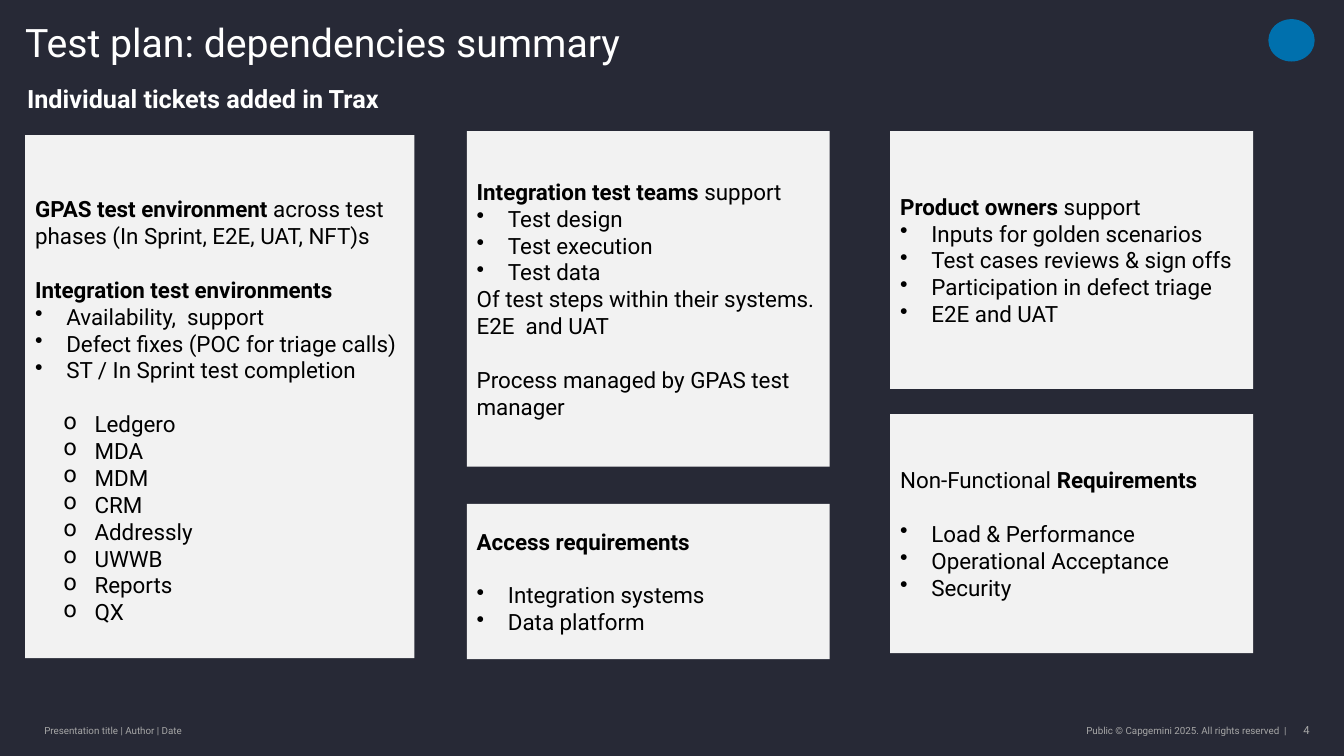
from dataclasses import dataclass

from lxml import etree
from pptx import Presentation
from pptx.dml.color import RGBColor
from pptx.enum import shapes, text
from pptx.oxml import ns
from pptx.util import Inches, Pt


@dataclass(frozen=True)
class Theme:
    font: str = "Roboto"
    back: str = "272936"
    card: str = "F2F2F2"
    ink: str = "000000"
    light: str = "FFFFFF"
    muted: str = "A6A6A6"
    accent: str = "0070AD"
    title: int = 28
    head: int = 18
    body: int = 16
    foot: int = 7
    page: int = 8
    line: float = 19.2


THEME = Theme()
MARKS = ("", "•", "o")
INDENT = (0, 0.31, 0.59)
HANG = 0.31
LEFT, MID, RIGHT = 0.25, 4.63, 8.83
WIDE, SLIM = 3.86, 3.6

# Each line is (text with **bold** parts, bullet level, gap above in lines).
ENVIRON = [
    ("**GPAS test environment** across test phases (In Sprint, E2E, UAT, NFT)s", 0, 0),
    ("**Integration test environments**", 0, 1),
    ("Availability,  support", 1, 0),
    ("Defect fixes (POC for triage calls)", 1, 0),
    ("ST / In Sprint test completion", 1, 0),
    ("Ledgero", 2, 1),
    ("MDA", 2, 0),
    ("MDM", 2, 0),
    ("CRM", 2, 0),
    ("Addressly", 2, 0),
    ("UWWB", 2, 0),
    ("Reports", 2, 0),
    ("QX", 2, 0),
]
TEAMS = [
    ("**Integration test teams** support", 0, 0),
    ("Test design", 1, 0),
    ("Test execution", 1, 0),
    ("Test data", 1, 0),
    ("Of test steps within their systems.", 0, 0),
    ("E2E  and UAT", 0, 0),
    ("Process managed by GPAS test manager", 0, 1),
]
ACCESS = [
    ("**Access requirements**", 0, 0),
    ("Integration systems", 1, 1),
    ("Data platform", 1, 0),
]
OWNERS = [
    ("**Product owners** support", 0, 0),
    ("Inputs for golden scenarios", 1, 0),
    ("Test cases reviews & sign offs", 1, 0),
    ("Participation in defect triage", 1, 0),
    ("E2E and UAT", 1, 0),
]
NONFUNC = [
    ("Non-Functional **Requirements**", 0, 0),
    ("Load & Performance", 1, 1),
    ("Operational Acceptance", 1, 0),
    ("Security", 1, 0),
]


def color(code):
    return RGBColor.from_string(code)


def add_runs(para, words, size, tint):
    """Add one run per part; parts between ** marks are bold."""
    for i, part in enumerate(words.split("**")):
        if part:
            run = para.add_run()
            run.text = part
            run.font.name = THEME.font
            run.font.size = Pt(size)
            run.font.bold = i % 2 == 1
            run.font.color.rgb = color(tint)


def add_mark(para, level):
    props = para._p.get_or_add_pPr()
    props.set("marL", str(Inches(INDENT[level])))
    props.set("indent", str(-Inches(HANG)))
    etree.SubElement(props, ns.qn("a:buChar")).set("char", MARKS[level])


def add_label(slide, box, words, size, tint, align=text.PP_ALIGN.LEFT,
              anchor=text.MSO_ANCHOR.MIDDLE, pad=(0, 0)):
    """Add a one-line text box; pad is its side and top inset."""
    frame = slide.shapes.add_textbox(*map(Inches, box)).text_frame
    frame.word_wrap = True
    frame.vertical_anchor = anchor
    frame.margin_left = frame.margin_right = Inches(pad[0])
    frame.margin_top = frame.margin_bottom = Inches(pad[1])
    para = frame.paragraphs[0]
    para.alignment = align
    add_runs(para, words, size, tint)
    return para


def add_block(slide, kind, box, fill):
    shape = slide.shapes.add_shape(kind, *map(Inches, box))
    shape.shadow.inherit = False
    shape.fill.solid()
    shape.fill.fore_color.rgb = color(fill)
    shape.line.fill.background()
    return shape


def add_card(slide, box, lines, top=0.05):
    frame = add_block(slide, shapes.MSO_SHAPE.RECTANGLE, box, THEME.card).text_frame
    frame.word_wrap = True
    frame.vertical_anchor = text.MSO_ANCHOR.MIDDLE
    frame.margin_top = Inches(top)
    for i, (words, level, gap) in enumerate(lines):
        para = frame.add_paragraph() if i else frame.paragraphs[0]
        para.alignment = text.PP_ALIGN.LEFT
        if gap:
            para.space_before = Pt(gap * THEME.line)
        if level:
            add_mark(para, level)
        add_runs(para, words, THEME.body, THEME.ink)


def add_footer(slide):
    right = text.PP_ALIGN.RIGHT
    add_label(slide, (0.44, 7.13, 3.73, 0.24), "Presentation title | Author | Date",
              THEME.foot, THEME.muted)
    add_label(slide, (7.8, 7.13, 4.96, 0.24),
              "Public © Capgemini 2025. All rights reserved  |",
              THEME.foot, THEME.muted, right)
    add_label(slide, (12.74, 7.13, 0.25, 0.24), "4", THEME.page, THEME.muted,
              right, text.MSO_ANCHOR.TOP, (0, 0.05))


def main():
    deck = Presentation()
    deck.slide_width, deck.slide_height = Inches(13.33), Inches(7.5)
    slide = deck.slides.add_slide(deck.slide_layouts[6])
    slide.background.fill.solid()
    slide.background.fill.fore_color.rgb = color(THEME.back)

    add_block(slide, shapes.MSO_SHAPE.OVAL, (12.58, 0.19, 0.46, 0.42), THEME.accent)
    add_footer(slide)
    title = add_label(slide, (LEFT, 0.2, 12.04, 0.45), "Test plan: dependencies summary",
                      THEME.title, THEME.light, anchor=text.MSO_ANCHOR.BOTTOM)
    title.line_spacing = 0.9
    add_label(slide, (0.17, 0.75, 5.77, 0.45), "**Individual tickets added in Trax**",
              THEME.head, THEME.light, pad=(0.1, 0.05))

    add_card(slide, (LEFT, 1.34, WIDE, 5.19), ENVIRON, top=0.32)
    add_card(slide, (MID, 1.3, SLIM, 3.33), TEAMS)
    add_card(slide, (MID, 5, SLIM, 1.54), ACCESS)
    add_card(slide, (RIGHT, 1.3, SLIM, 2.56), OWNERS)
    add_card(slide, (RIGHT, 4.11, SLIM, 2.37), NONFUNC)
    deck.save("out.pptx")


if __name__ == "__main__":
    main()
